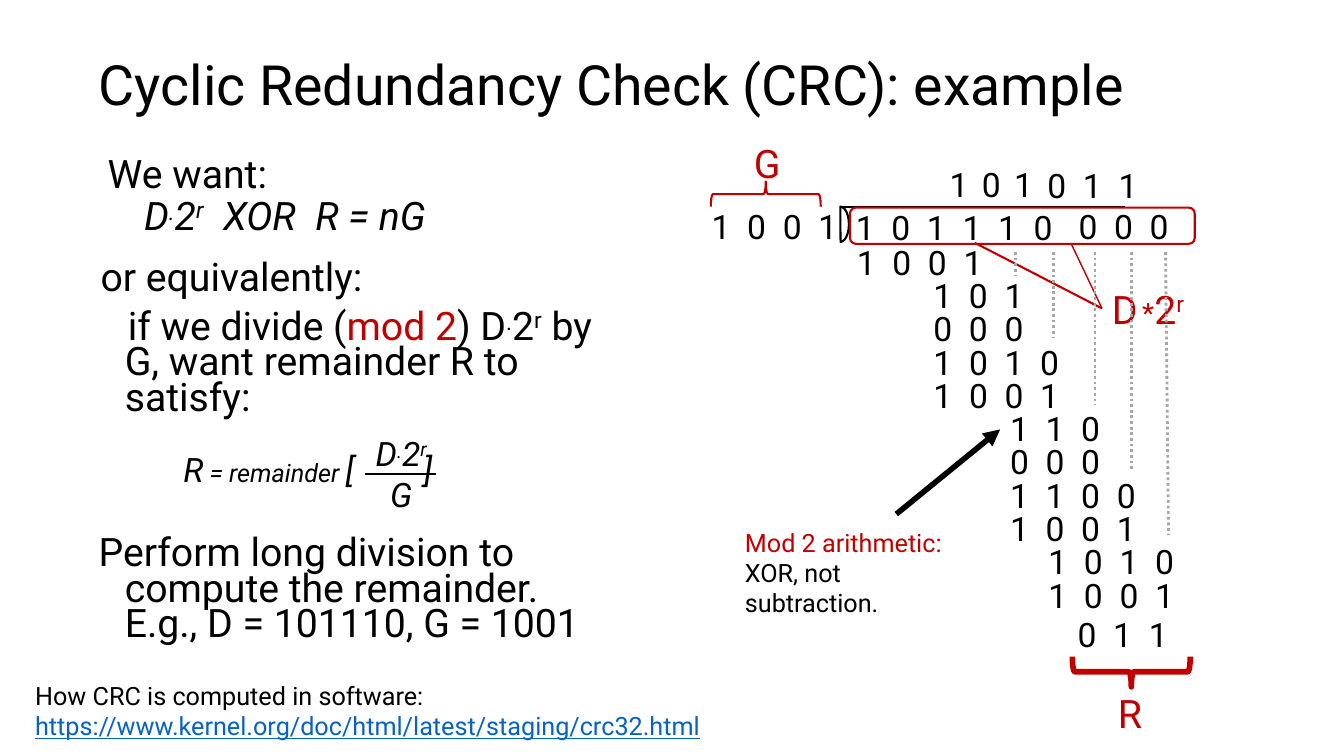
from lxml import etree
from pptx import Presentation
from pptx import util as u
from pptx.dml.color import RGBColor
from pptx.enum import dml, shapes, text
from pptx.oxml.ns import qn

BLACK = RGBColor(0x00, 0x00, 0x00)
RED = RGBColor(0xC0, 0x00, 0x00)
GREY = RGBColor(0xA6, 0xA6, 0xA6)
BLUE = RGBColor(0x05, 0x63, 0xC1)
FONT = "Roboto"
DIGIT_GAP = 300  # character spacing, in hundredths of a point

D_POWER = [("D", {}), (".", {"baseline": 26000}), ("2", {}), ("r", {"baseline": 30000})]


class Deck:
    """Holds the style and the current slide."""

    def __init__(self, width, height):
        """Start a deck with one blank slide."""
        self.prs = Presentation()
        self.prs.slide_width, self.prs.slide_height = u.Inches(width), u.Inches(height)
        self.s = self.prs.slides.add_slide(self.prs.slide_layouts[6])

    def write_run(self, p, words, fmt):
        """Add one run; baseline and spc are raw XML values."""
        values = {"name": FONT, "size": 24, "color": BLACK, **fmt}
        for i, part in enumerate(words.split("\n")):
            if i:
                p.add_line_break()
            if not part:
                continue
            r = p.add_run()
            r.text = part
            for key, value in values.items():
                if key == "color":
                    r.font.color.rgb = value
                elif key in ("baseline", "spc"):
                    r._r.get_or_add_rPr().set(key, str(value))
                else:
                    setattr(r.font, key, u.Pt(value) if key == "size" else value)

    def text(self, box, paras, wrap=True, anchor=text.MSO_ANCHOR.TOP, **base):
        """Add a text box from (runs, paragraph format) pairs."""
        tf = self.s.shapes.add_textbox(*map(u.Inches, box)).text_frame
        tf.word_wrap, tf.vertical_anchor = wrap, anchor
        for i, (runs, fmt) in enumerate(paras):
            p = tf.paragraphs[0] if i == 0 else tf.add_paragraph()
            for key, value in fmt.items():
                if key in ("marL", "indent"):
                    p._p.get_or_add_pPr().set(key, str(u.Inches(value)))
                else:
                    setattr(p, key, value)
            for words, run_fmt in runs:
                self.write_run(p, words, {**base, **run_fmt})

    def label(self, box, words, **base):
        """Add a short unwrapped label."""
        self.text(box, [([(words, {})], {})], wrap=False, **base)

    def digits(self, left, top, bits):
        """Add a row of evenly spaced binary digits."""
        box = (left, top, 0.37 * len(bits) + 0.03, 0.5)
        self.label(box, " ".join(bits), spc=DIGIT_GAP)

    def outline(self, kind, box, color, weight, rotation=0, adjustments=()):
        """Add an unfilled preset shape."""
        sp = self.s.shapes.add_shape(kind, *map(u.Inches, box))
        sp.shadow.inherit = False
        sp.fill.background()
        sp.line.color.rgb, sp.line.width = color, u.Pt(weight)
        sp.rotation = rotation
        for i, value in enumerate(adjustments):
            sp.adjustments[i] = value

    def line(self, ends, color, weight, dash=None, arrow=False):
        """Add a straight line, dotted or arrowed on request."""
        c = self.s.shapes.add_connector(shapes.MSO_CONNECTOR.STRAIGHT, *map(u.Inches, ends))
        c.line.color.rgb, c.line.width = color, u.Pt(weight)
        if dash:
            c.line.dash_style = dash
        if arrow:
            etree.SubElement(c.line._get_or_add_ln(), qn("a:tailEnd"), type="triangle")
        etree.SubElement(c._element.spPr, qn("a:effectLst"))


def add_explanation(deck):
    """Write the title, the reasoning on the left and the notes."""
    deck.text((0.88, 0.38, 11.5, 0.98),
              [([("Cyclic Redundancy Check (CRC): example", {})], {"line_spacing": 0.9})],
              anchor=text.MSO_ANCHOR.MIDDLE, size=39.6)

    tight = {"line_spacing": 0.75, "space_before": u.Pt(10)}
    hanging = {**tight, "marL": 0.5, "indent": -0.26}
    italic = [(words, {**fmt, "italic": True}) for words, fmt in D_POWER]
    wide_space = (" ", {"spc": 700})
    deck.text((0.82, 1.54, 5.45, 1.14), [
        ([("We want:", {})], {**tight, "marL": 0.39, "indent": -0.24}),
        (italic + [wide_space, ("XOR", {"italic": True}), wide_space,
                   ("R = nG", {"italic": True})],
         {**tight, "space_before": u.Pt(5), "marL": 0.76, "indent": -0.25}),
    ], size=28)
    deck.text((0.64, 2.56, 5.66, 3.98), [
        ([("or equivalently:", {})], {**tight, "marL": 0.39, "indent": -0.13}),
        ([("if we divide (", {}), ("mod 2", {"color": RED}), (") ", {}), *D_POWER,
          (" by G, want remainder R to satisfy:", {})], {**hanging, "indent": 0.03}),
        ([("Perform long division to compute the remainder.\n"
           "E.g., D = 101110, G = 1001", {})], {**hanging, "space_before": u.Pt(86)}),
    ], size=28)

    center = {"alignment": text.PP_ALIGN.CENTER}
    deck.text((3.25, 4.25, 1.46, 0.91), [(D_POWER, center), ([("G", {})], center)], italic=True)
    deck.line((3.62, 4.7, 4.32, 4.7), BLACK, 1.5)
    deck.text((1.72, 4.4, 3.05, 0.52), [
        ([("R", {}), (" = remainder ", {"size": 18}), ("[", {}),
          (" ", {"size": 18, "spc": 4500}), ("]", {})], {})], italic=True)

    deck.text((7.29, 5.18, 2.53, 1.01), [
        ([("Mod 2 arithmetic:\n", {"color": RED}), ("XOR, not subtraction.", {})], {})], size=18)
    deck.text((0.25, 6.7, 6.95, 0.71), [
        ([("How CRC is computed in software:\n", {}),
          ("https://www.kernel.org/doc/html/latest/staging/crc32.html",
           {"color": BLUE, "underline": True})], {})], size=18)


def add_division(deck):
    """Lay out the long division with its braces and guides."""
    deck.digits(6.96, 1.99, "1001")
    deck.digits(8.39, 2.0, "101110")
    deck.digits(10.6, 1.99, "000")
    for i, bit in enumerate("101"):
        deck.digits(9.32 + 0.32 * i, 1.58, bit)
    deck.digits(10.29, 1.59, "011")

    steps = [(0, "1001"), (2, "101"), (2, "000"), (2, "1010"), (2, "1001"), (4, "110"),
             (4, "000"), (4, "1100"), (4, "1001"), (5, "1010"), (5, "1001")]
    for row, (column, bits) in enumerate(steps):
        deck.digits(8.4 + 0.38 * column, 2.35 + 0.33 * row, bits)
    deck.digits(10.59, 6.04, "011")

    kinds = shapes.MSO_SHAPE
    deck.line((8.35, 2.05, 11.16, 2.05), BLACK, 1.5)
    deck.outline(kinds.PIE, (8.16, 2.14, 0.35, 0.17), BLACK, 1.5, 270, (0, 107.535))
    deck.outline(kinds.ROUNDED_RECTANGLE, (8.43, 2.06, 3.42, 0.36), RED, 1.5)
    deck.outline(kinds.RIGHT_BRACE, (7.47, 1.38, 0.25, 1.09), RED, 1.5, 270)
    deck.outline(kinds.RIGHT_BRACE, (11.07, 6.08, 0.3, 1.17), RED, 4, 90)
    deck.line((9.67, 2.41, 10.93, 3.06), RED, 1.5)
    deck.line((10.63, 2.43, 10.93, 3.06), RED, 1)

    for left, top, name in [(7.38, 1.33, "G"), (10.93, 2.78, "D"), (10.99, 6.79, "R")]:
        deck.label((left, top, 0.5, 0.57), name, size=28, color=RED)
    deck.label((11.23, 2.88, 0.31, 0.44), "*", size=20, color=RED)
    deck.text((11.35, 2.78, 0.51, 0.57), [(D_POWER[2:], {})], wrap=False, size=28, color=RED)

    guides = [(10.07, 10.07, 2.74), (10.45, 10.45, 3.35), (10.86, 10.86, 4.01),
              (11.22, 11.22, 4.65), (11.56, 11.59, 5.31)]
    for start, end, bottom in guides:
        deck.line((start, 2.5, end, bottom), GREY, 2, dash=dml.MSO_LINE.ROUND_DOT)
    deck.line((8.89, 5.1, 9.92, 4.26), BLACK, 4, arrow=True)


deck = Deck(13.33, 7.5)
add_explanation(deck)
add_division(deck)
deck.prs.save("out.pptx")
